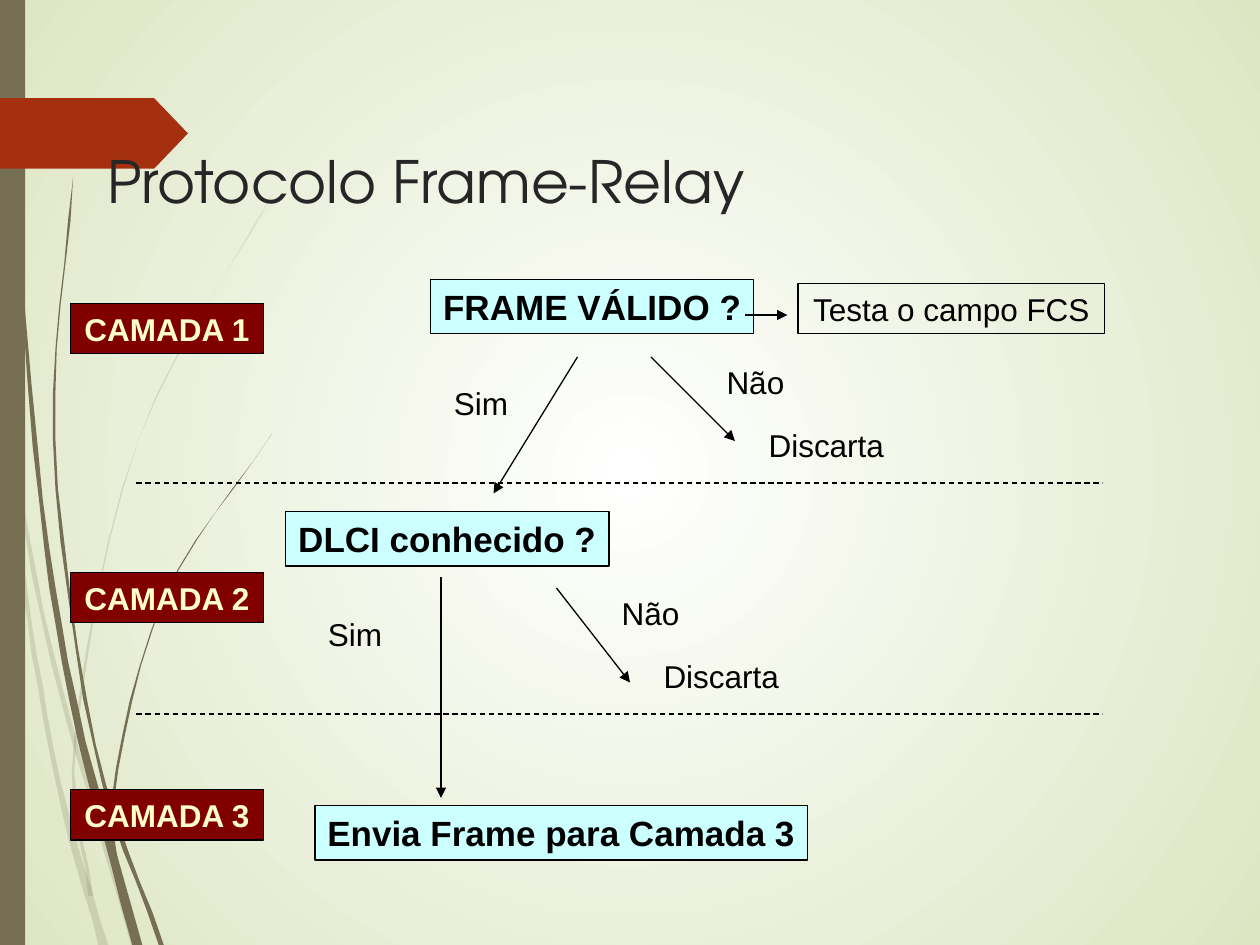
from typing import NamedTuple, Optional

from lxml.etree import SubElement
from pptx import Presentation
from pptx.dml.color import RGBColor
from pptx.enum.dml import MSO_LINE
from pptx.enum.shapes import MSO_CONNECTOR, MSO_SHAPE
from pptx.enum.text import MSO_ANCHOR, PP_ALIGN
from pptx.oxml import parse_xml
from pptx.oxml.ns import nsdecls, qn
from pptx.util import Inches, Pt

BLACK = RGBColor(0, 0, 0)
WHITE = RGBColor(0xFF, 0xFF, 0xFF)
SAGE = RGBColor(0xDD, 0xE6, 0xC3)
REED = RGBColor(0x76, 0x6F, 0x54)
RUST = RGBColor(0xA5, 0x30, 0x10)
INK = RGBColor(0x26, 0x26, 0x26)
AQUA = RGBColor(0xCC, 0xFF, 0xFF)
WINE = RGBColor(0x80, 0, 0)
CREAM = RGBColor(0xFF, 0xFF, 0xCC)

COLS, ROWS = 120, 90  # grid of twelfths of an inch
UNIT = Inches(10) / COLS
STEPS = 6  # pieces per span of a curve


class Look(NamedTuple):
    high: float
    font: dict
    color: RGBColor = BLACK
    fill: Optional[RGBColor] = None
    edge: bool = True


class Box(NamedTuple):
    text: str
    col: float
    row: float
    wide: float
    look: Look


class Line(NamedTuple):
    start: tuple
    end: tuple
    dash: bool = False


class Blade(NamedTuple):
    alpha: int  # percent
    thin: float  # width at the top, in hundredths of an inch
    thick: float  # width at the foot
    spine: list  # middle line from top to foot, in hundredths of an inch


STEP = Look(5.2, {"size": Pt(20), "bold": True}, fill=AQUA)
LAYER = Look(4.8, {"size": Pt(18), "bold": True}, CREAM, WINE)
NOTE = Look(4.8, {"size": Pt(18)})
LABEL = NOTE._replace(edge=False)

BOXES = [
    Box("FRAME VÁLIDO ?", 41, 26.6, 30.8, STEP),
    Box("Testa o campo FCS", 76, 27, 29.2, NOTE),
    Box("DLCI conhecido ?", 27.2, 48.7, 30.8, STEP),
    Box("Envia Frame para Camada 3", 30, 76.7, 46.9, STEP),
    *(Box(f"CAMADA {n}", 6.7, row, 18.4, LAYER)
      for n, row in enumerate((28.9, 54.5, 75.2), 1)),
]
# Answers below each question: column of "Sim", column of "Não", top row
for yes, no, top in ((42, 68, 34), (30, 58, 56)):
    BOXES += [
        Box("Sim", yes, top + 2, 7.6, LABEL),
        Box("Não", no, top, 7.9, LABEL),
        Box("Discarta", no + 4, top + 6, 13.4, LABEL),
    ]

LINES = [
    *(Line((13, row), (105, row), dash=True) for row in (46, 68)),
    Line((71, 30), (75, 30)),
    Line((55, 34), (47, 47)),
    Line((62, 34), (70, 42)),
    Line((53, 56), (60, 65)),
    Line((42, 55), (42, 76)),
]

BLADES = [
    Blade(20, 3, 4, [(1, 290), (9, 350), (41, 520), (106, 750)]),
    Blade(20, 1, 7, [(8, 350), (20, 470), (46, 620), (82, 750)]),
    Blade(20, 0, 3, [(217, 153), (110, 349), (60, 585), (72, 711)]),
    Blade(100, 1, 8, [(2, 0), (28, 355), (58, 556), (109, 750)]),
    Blade(100, 1, 4, [(58, 141), (43, 349), (75, 591), (128, 750)]),
    Blade(100, 0, 3, [(216, 344), (130, 475), (90, 632), (100, 719)]),
]


def grid(*cells: float) -> list:
    return [round(cell * UNIT) for cell in cells]


def style(item, **values) -> None:
    for name, value in values.items():
        setattr(item, name, value)


def paint(shape, color: RGBColor, alpha: int = 100) -> None:
    shape.shadow.inherit = False
    shape.fill.solid()
    shape.fill.fore_color.rgb = color
    shape.line.fill.background()
    if alpha < 100:
        tint = shape._element.spPr.find(".//" + qn("a:srgbClr"))
        SubElement(tint, qn("a:alpha"), val=str(alpha * 1000))


def smooth(knots: list) -> list:
    """Catmull-Rom curve through the knots."""
    def blend(a: float, b: float, c: float, d: float, t: float) -> float:
        bend = (2 * a - 5 * b + 4 * c - d) * t + (3 * b - a - 3 * c + d) * t * t
        return b + t * (c - a + bend) / 2

    (ax, ay), (bx, by) = knots[:2]
    (cx, cy), (dx, dy) = knots[-2:]
    ends = [(2 * ax - bx, 2 * ay - by), *knots, (2 * dx - cx, 2 * dy - cy)]
    curve = [tuple(blend(*axis, step / STEPS) for axis in zip(*four))
             for four in zip(ends, ends[1:], ends[2:], ends[3:])
             for step in range(STEPS)]
    return curve + [knots[-1]]


def add_blade(slide, blade: Blade) -> None:
    curve = smooth(blade.spine)
    grow = (blade.thick - blade.thin) / (len(curve) - 1)
    half = [(blade.thin + grow * i) / 2 for i in range(len(curve))]
    left = [(x - h, y) for (x, y), h in zip(curve, half)]
    right = [(x + h, y) for (x, y), h in zip(curve, half)]
    form = slide.shapes.build_freeform(*left[0], scale=Inches(0.01))
    form.add_line_segments(left[1:] + right[::-1])
    paint(form.convert_to_shape(), REED, blade.alpha)


def add_line(slide, line: Line) -> None:
    link = slide.shapes.add_connector(
        MSO_CONNECTOR.STRAIGHT, *grid(*line.start, *line.end))
    link.line.color.rgb = BLACK
    link.line.width = Pt(0.75)
    if line.dash:
        link.line.dash_style = MSO_LINE.DASH
    else:
        SubElement(link.line._get_or_add_ln(), qn("a:tailEnd"), type="triangle")
    SubElement(link._element.spPr, qn("a:effectLst"))


def add_box(slide, box: Box) -> None:
    look = box.look
    place = grid(box.col, box.row, box.wide, look.high)
    if look.edge:
        shape = slide.shapes.add_shape(MSO_SHAPE.RECTANGLE, *place)
        paint(shape, look.fill or WHITE)
        if look.fill is None:
            shape.fill.background()
        shape.line.color.rgb = BLACK
        shape.line.width = Pt(0.75)
    else:
        shape = slide.shapes.add_textbox(*place)
    frame = shape.text_frame
    style(frame, text=box.text, word_wrap=False, vertical_anchor=MSO_ANCHOR.MIDDLE)
    para = frame.paragraphs[0]
    para.alignment = PP_ALIGN.CENTER
    style(para.runs[0].font, name="Arial", **look.font)
    para.runs[0].font.color.rgb = look.color


def add_back(slide) -> None:
    fill = slide.background.fill
    fill.gradient()
    for stop, color in zip(fill.gradient_stops, (WHITE, SAGE)):
        stop.color.rgb = color
    lin = next(slide._element.iter(qn("a:lin")))
    lin.getparent().replace(lin, parse_xml(
        f'<a:path {nsdecls("a")} path="circle"><a:fillToRect '
        'l="49000" t="49000" r="49000" b="49000"/></a:path>'))


def add_title(slide, text: str) -> None:
    title = slide.shapes.title
    slide.shapes._spTree.append(title._element)  # in front of the decoration
    left, top, width, height = grid(9, 13.8, 101.9, 7.6)
    style(title, left=left, top=top, width=width, height=height)
    style(title.text_frame, text=text, vertical_anchor=MSO_ANCHOR.MIDDLE)
    para = title.text_frame.paragraphs[0]
    style(para, alignment=PP_ALIGN.LEFT, line_spacing=0.9)
    style(para.runs[0].font, name="TeX Gyre Adventor", size=Pt(33.3))
    para.runs[0].font.color.rgb = INK


def main() -> None:
    deck = Presentation()
    style(deck, slide_width=Inches(10), slide_height=Inches(7.5))
    slide = deck.slides.add_slide(deck.slide_layouts[5])
    # Background, grass, side stripe and tag
    add_back(slide)
    for blade in BLADES:
        add_blade(slide, blade)
    stripe = slide.shapes.add_shape(MSO_SHAPE.RECTANGLE, *grid(0, 0, 2.4, ROWS))
    paint(stripe, REED)
    tag = slide.shapes.add_shape(MSO_SHAPE.PENTAGON, *grid(0, 9.36, 17.9, 6.7))
    tag.adjustments[0] = 0.48
    paint(tag, RUST)
    # Title and flow
    add_title(slide, "Protocolo Frame-Relay")
    for box in BOXES:
        add_box(slide, box)
    for line in LINES:
        add_line(slide, line)
    deck.save("out.pptx")


if __name__ == "__main__":
    main()
